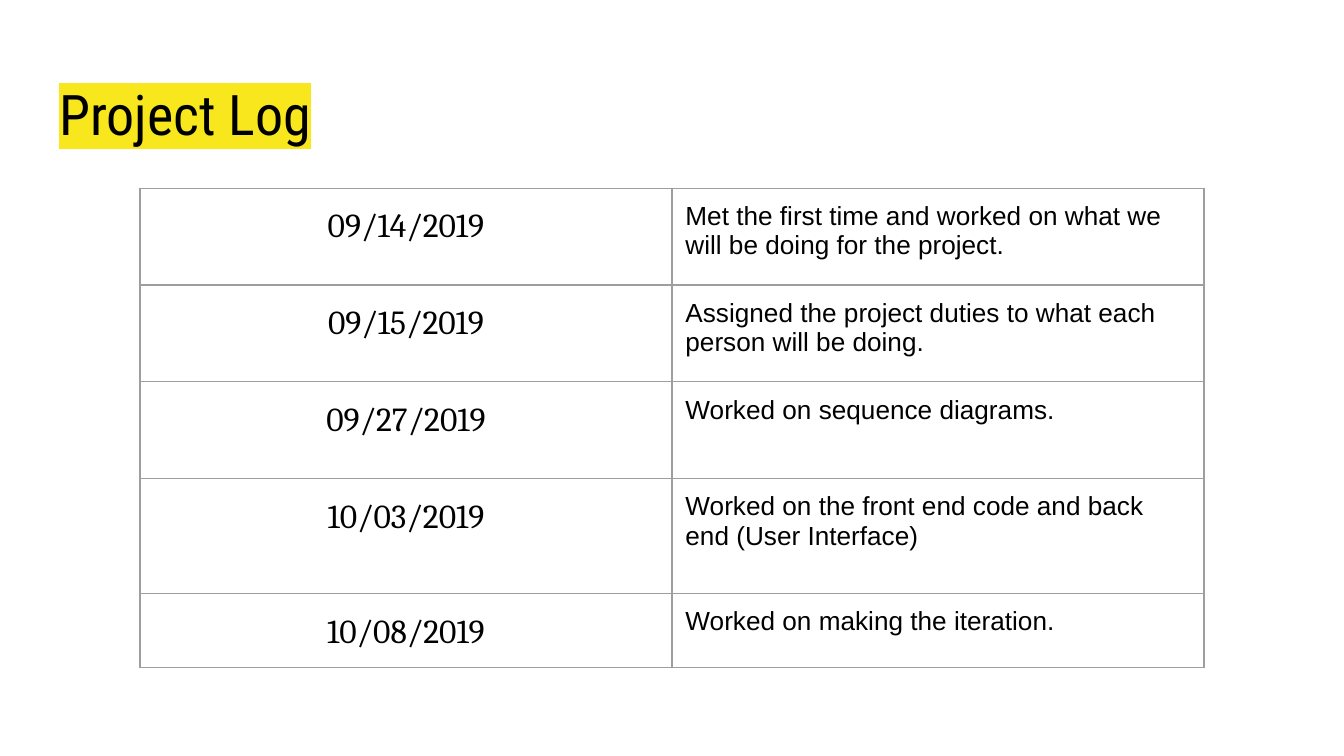
from dataclasses import dataclass

from lxml.etree import SubElement
from pptx import Presentation
from pptx.dml.color import RGBColor
from pptx.enum.text import MSO_ANCHOR, MSO_AUTO_SIZE, PP_ALIGN
from pptx.oxml.ns import qn
from pptx.util import Pt


@dataclass(frozen=True)
class Theme:
    """Colours, fonts and type sizes of the slide."""
    ink: str = "000000"
    marker: str = "F8E71C"
    border: str = "9E9E9E"
    title_font: str = "Roboto Condensed"
    date_font: str = "Cambria"
    entry_font: str = "Arial"
    title_size: float = 30
    date_size: float = 18
    entry_size: float = 14
    inset: float = 7.2
    border_width: float = 0.75


theme = Theme()


def write_text(frame, text, *, font, size, align=PP_ALIGN.LEFT,
               line_spacing=1.0, space_after=0, highlight=None):
    """Write one formatted paragraph into a text frame."""
    paragraph = frame.paragraphs[0]
    paragraph.alignment = align
    paragraph.line_spacing = line_spacing
    paragraph.space_before = Pt(0)
    paragraph.space_after = Pt(space_after)
    run = paragraph.add_run()
    run.text = text
    run.font.name = font
    run.font.size = Pt(size)
    run.font.bold = False
    run.font.color.rgb = RGBColor.from_string(theme.ink)
    if highlight:
        properties = run.font._element
        marker = SubElement(properties, qn("a:highlight"))
        SubElement(marker, qn("a:srgbClr"), val=highlight)
        properties.find(qn("a:solidFill")).addnext(marker)


def format_cell(cell):
    """Give a cell its insets, four thin borders and no fill."""
    cell.margin_left = cell.margin_right = Pt(theme.inset)
    cell.margin_top = cell.margin_bottom = Pt(theme.inset)
    cell.vertical_anchor = MSO_ANCHOR.TOP
    properties = cell._tc.get_or_add_tcPr()
    for side in ("lnL", "lnR", "lnT", "lnB"):
        line = SubElement(properties, qn(f"a:{side}"), w=str(Pt(theme.border_width)))
        fill = SubElement(line, qn("a:solidFill"))
        SubElement(fill, qn("a:srgbClr"), val=theme.border)
    cell.fill.background()


presentation = Presentation()
presentation.slide_width = Pt(720)
presentation.slide_height = Pt(405)
slide = presentation.slides.add_slide(presentation.slide_layouts[5])

title = slide.shapes.title
title.left, title.top = Pt(24.5), Pt(35.3)
title.width, title.height = Pt(671), Pt(45.4)
title_frame = title.text_frame
title_frame.margin_left = title_frame.margin_right = Pt(theme.inset)
title_frame.margin_top = title_frame.margin_bottom = Pt(theme.inset)
title_frame.vertical_anchor = MSO_ANCHOR.TOP
title_frame.auto_size = MSO_AUTO_SIZE.NONE
title_frame.word_wrap = True
write_text(title_frame, "Project Log", font=theme.title_font,
           size=theme.title_size, highlight=theme.marker)

log_entries = [
    ("09/14/2019", "Met the first time and worked on what we will be doing for the project.", 51.9),
    ("09/15/2019", "Assigned the project duties to what each person will be doing.", 51.9),
    ("09/27/2019", "Worked on sequence diagrams.", 51.9),
    ("10/03/2019", "Worked on the front end code and back end (User Interface)", 61.6),
    ("10/08/2019", "Worked on making the iteration.", 39.6),
]
column_width = 285
table_height = sum(height for _, _, height in log_entries)
log_table = slide.shapes.add_table(
    len(log_entries), 2, Pt(75), Pt(100.8), Pt(2 * column_width), Pt(table_height)).table
log_table.first_row = False
log_table.horz_banding = False
for column in log_table.columns:
    column.width = Pt(column_width)

for row, (date, entry, height) in zip(log_table.rows, log_entries):
    row.height = Pt(height)
    date_cell, entry_cell = row.cells
    format_cell(date_cell)
    format_cell(entry_cell)
    write_text(date_cell.text_frame, date, font=theme.date_font, size=theme.date_size,
               align=PP_ALIGN.CENTER, line_spacing=1.15, space_after=16)
    write_text(entry_cell.text_frame, entry, font=theme.entry_font, size=theme.entry_size)

presentation.save("out.pptx")
